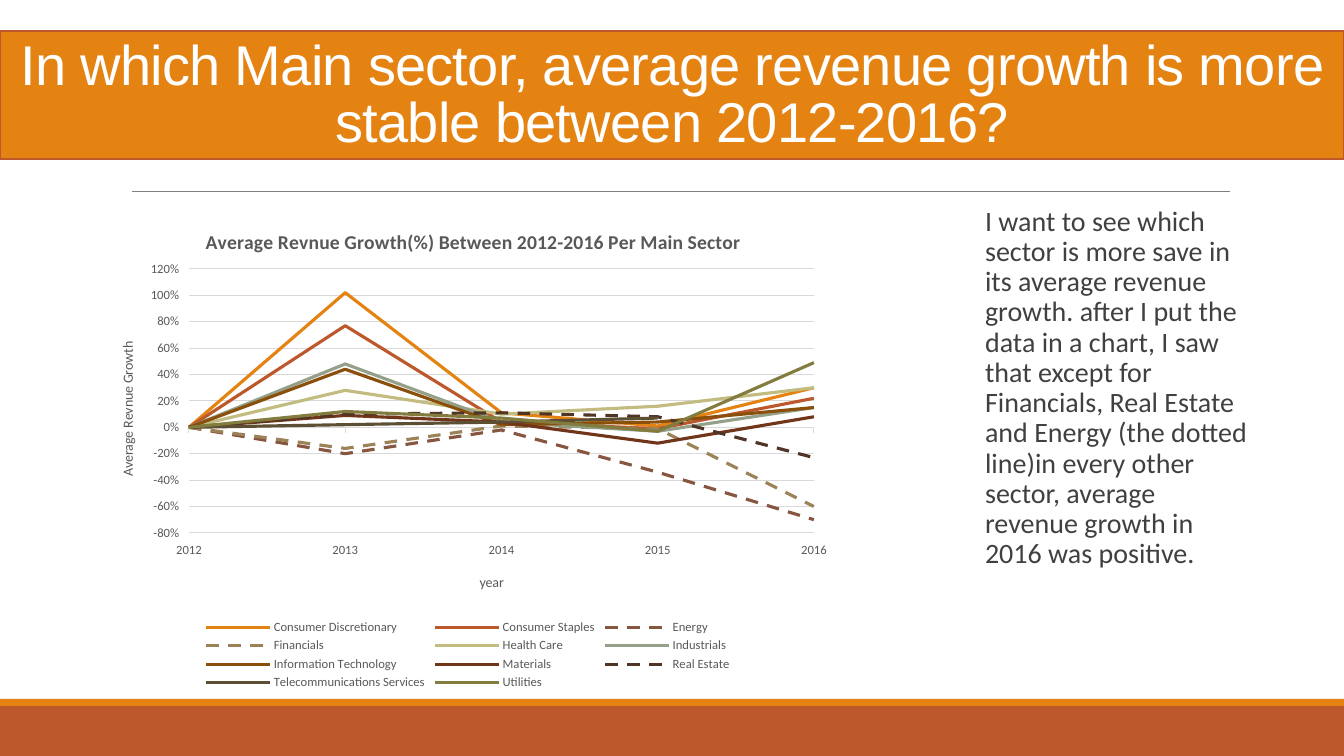
from lxml import etree
from pptx import Presentation
from pptx.chart.data import CategoryChartData
from pptx.dml.color import RGBColor
from pptx.enum.chart import XL_CHART_TYPE, XL_LEGEND_POSITION, XL_TICK_LABEL_POSITION, XL_TICK_MARK
from pptx.enum.dml import MSO_LINE
from pptx.enum.shapes import MSO_CONNECTOR, MSO_SHAPE
from pptx.enum.text import MSO_ANCHOR, MSO_AUTO_SIZE, PP_ALIGN
from pptx.oxml import parse_xml
from pptx.oxml.ns import nsdecls, qn
from pptx.util import Pt

PX = 914400 / 100.8  # EMU per px
LINE_CHART = XL_CHART_TYPE.LINE
BOTTOM = XL_LEGEND_POSITION.BOTTOM
LOW = XL_TICK_LABEL_POSITION.LOW
OUTSIDE = XL_TICK_MARK.OUTSIDE
DASH = MSO_LINE.DASH

COLORS = {name: RGBColor.from_string(value) for name, value in {
    "orange": "E48312", "rust": "BD582C", "white": "FFFFFF", "rule": "808080",
    "body": "404040", "chart text": "595959", "grid": "D9D9D9",
}.items()}
CHART_BOX = (93, 202, 750, 493)

YEARS = ["2012", "2013", "2014", "2015", "2016"]
SECTORS = [  # name, growth per year, colour, dashed
    ("Consumer Discretionary", (0, 1.02, 0.11, 0.01, 0.3), "E48312", False),
    ("Consumer Staples", (0, 0.77, 0.04, -0.01, 0.22), "BD582C", False),
    ("Energy", (0, -0.2, -0.02, -0.34, -0.7), "865640", True),
    ("Financials", (0, -0.16, 0.01, -0.01, -0.6), "9B8357", True),
    ("Health Care", (0, 0.28, 0.1, 0.16, 0.3), "C2BC80", False),
    ("Industrials", (0, 0.48, 0.04, -0.03, 0.15), "94A088", False),
    ("Information Technology", (0, 0.44, 0.02, 0.04, 0.15), "894F0B", False),
    ("Materials", (0, 0.09, 0.04, -0.12, 0.08), "71351A", False),
    ("Real Estate", (0, 0.1, 0.11, 0.08, -0.23), "503426", True),
    ("Telecommunications Services", (0, 0.02, 0.04, 0.07, None), "5D4F34", False),
    ("Utilities", (0, 0.12, 0.07, -0.03, 0.49), "837C3F", False),
]


def px(*lengths):
    return [round(length * PX) for length in lengths]


def set_layout(part, index, left, top, width=None, height=None, inner=False):
    """Place a chart part by slide px, as fractions of the chart frame."""
    chart_left, chart_top, chart_width, chart_height = CHART_BOX
    settings = [("layoutTarget", "inner")] if inner else []
    settings += [("xMode", "edge"), ("yMode", "edge"),
                 ("x", (left - chart_left) / chart_width),
                 ("y", (top - chart_top) / chart_height)]
    if width:
        settings += [("w", width / chart_width), ("h", height / chart_height)]
    for old in part.findall(qn("c:layout")):
        part.remove(old)
    layout = parse_xml(f"<c:layout {nsdecls('c')}><c:manualLayout/></c:layout>")
    for tag, value in settings:
        etree.SubElement(layout[0], qn(f"c:{tag}")).set("val", str(value))
    part.insert(index, layout)


prs = Presentation()
prs.slide_width, prs.slide_height = px(1344, 756)
slide = prs.slides.add_slide(prs.slide_layouts[1])
shapes = slide.shapes

# Footer bands
for top, height, color in ((706, 50, "rust"), (699, 7, "orange")):
    band = shapes.add_shape(MSO_SHAPE.RECTANGLE, *px(0, top, 1344, height))
    band.shadow.inherit = False
    band.fill.solid()
    band.fill.fore_color.rgb = COLORS[color]
    band.line.fill.background()

# Rule under the title
rule = shapes.add_connector(MSO_CONNECTOR.STRAIGHT, *px(132, 191, 1230, 191))
rule.line.color.rgb = COLORS["rule"]
rule.line.width = Pt(0.5)
etree.SubElement(rule.element.spPr, qn("a:effectLst"))

# Title
title = shapes.title
title.left, title.top, title.width, title.height = px(0, 31, 1344, 128)
title.fill.solid()
title.fill.fore_color.rgb = COLORS["orange"]
title.line.color.rgb = COLORS["rust"]
title.line.width = Pt(1.25)
title.text_frame.text = "In which Main sector, average revenue growth is more stable between 2012-2016?"
title.text_frame.vertical_anchor = MSO_ANCHOR.BOTTOM
title.text_frame.auto_size = MSO_AUTO_SIZE.NONE
question = title.text_frame.paragraphs[0]
question.alignment = PP_ALIGN.CENTER
question.line_spacing = 0.85
question_run = question.runs[0]
question_run.font.size = Pt(40)
question_run.font.name = "Arial"
question_run.font.color.rgb = COLORS["white"]
question_run.font._element.set("spc", "-50")

# Commentary
commentary = slide.placeholders[1]
commentary.left, commentary.top, commentary.width, commentary.height = px(975, 202, 277, 480)
frame = commentary.text_frame
frame.text = ("I want to see which sector is more save in its average revenue growth. "
              "after I put the data in a chart, I saw that except for Financials, "
              "Real Estate and Energy (the dotted line)in every other sector, "
              "average revenue growth in 2016 was positive.")
frame.auto_size = MSO_AUTO_SIZE.NONE
frame.vertical_anchor = MSO_ANCHOR.TOP
frame.margin_left = frame.margin_right = 0
finding = frame.paragraphs[0]
finding.line_spacing = 0.9
finding.space_before = Pt(12)
finding.space_after = Pt(2)
finding.runs[0].font.size = Pt(20)
finding.runs[0].font.name = "Calibri"
finding.runs[0].font.color.rgb = COLORS["body"]
finding_format = finding._p.get_or_add_pPr()
finding_format.set("marL", "91440")
finding_format.set("indent", "-91440")
bullet_color = etree.SubElement(finding_format, qn("a:buClr"))
etree.SubElement(bullet_color, qn("a:srgbClr")).set("val", str(COLORS["orange"]))
etree.SubElement(finding_format, qn("a:buFont")).set("typeface", "Calibri")
etree.SubElement(finding_format, qn("a:buChar")).set("char", " ")

# Growth chart
growth = CategoryChartData(number_format="0%")
growth.categories = YEARS
for name, values, _, _ in SECTORS:
    growth.add_series(name, values)
chart = shapes.add_chart(LINE_CHART, *px(*CHART_BOX), growth).chart
chart.font.name = "Calibri"
chart.font.size = Pt(10)
chart.font.color.rgb = COLORS["chart text"]
chart.plots[0].vary_by_categories = False
for series, (_, _, color, dashed) in zip(chart.plots[0].series, SECTORS):
    series.smooth = False
    series.format.line.color.rgb = RGBColor.from_string(color)
    series.format.line.width = Pt(2.25)
    if dashed:
        series.format.line.dash_style = DASH

# Axes
years, percents = chart.category_axis, chart.value_axis
for axis in (years, percents):
    axis.major_tick_mark = OUTSIDE
    axis.tick_labels.font.size = Pt(9)
    axis.tick_labels.font.color.rgb = COLORS["chart text"]
years.tick_label_position = LOW
years.format.line.color.rgb = COLORS["grid"]
years.format.line.width = Pt(0.75)
percents.minimum_scale, percents.maximum_scale, percents.major_unit = -0.8, 1.2, 0.2
percents.tick_labels.number_format = "0%"
percents.tick_labels.number_format_is_linked = False
percents.format.line.fill.background()
percents.major_gridlines.format.line.color.rgb = COLORS["grid"]
percents.major_gridlines.format.line.width = Pt(0.75)

# Lines start on the value axis
for crossing in percents._element.findall(qn("c:crossBetween")):
    percents._element.remove(crossing)
percents._element.find(qn("c:crosses")).addnext(
    parse_xml(f'<c:crossBetween {nsdecls("c")} val="midCat"/>'))

# Chart and axis titles
for heading, text, size, bold, left, top in (
        (chart.chart_title, "Average Revnue Growth(%) Between 2012-2016 Per Main Sector", 14, True, 202, 225),
        (years.axis_title, "year", 10, False, 477, 571),
        (percents.axis_title, "Average Revnue Growth", 10, False, 116, 339)):
    heading.text_frame.text = text
    heading_font = heading.text_frame.paragraphs[0].runs[0].font
    heading_font.size = Pt(size)
    heading_font.bold = bold
    heading_font.name = "Calibri"
    heading_font.color.rgb = COLORS["chart text"]
    set_layout(heading._element, 1, left, top)
percents_title_box = percents.axis_title.text_frame._txBody.find(qn("a:bodyPr"))
percents_title_box.set("rot", "-5400000")
percents_title_box.set("vert", "horz")

# Legend and plot area
chart.has_legend = True
chart.legend.position = BOTTOM
chart.legend.include_in_layout = False
chart.legend.font.size = Pt(9)
chart.legend.font.color.rgb = COLORS["chart text"]
set_layout(chart.legend._element, 1, 200, 616, 536, 78)
set_layout(chart._chartSpace.find(".//" + qn("c:plotArea")), 0, 189, 269, 625, 264, inner=True)

prs.save("out.pptx")
